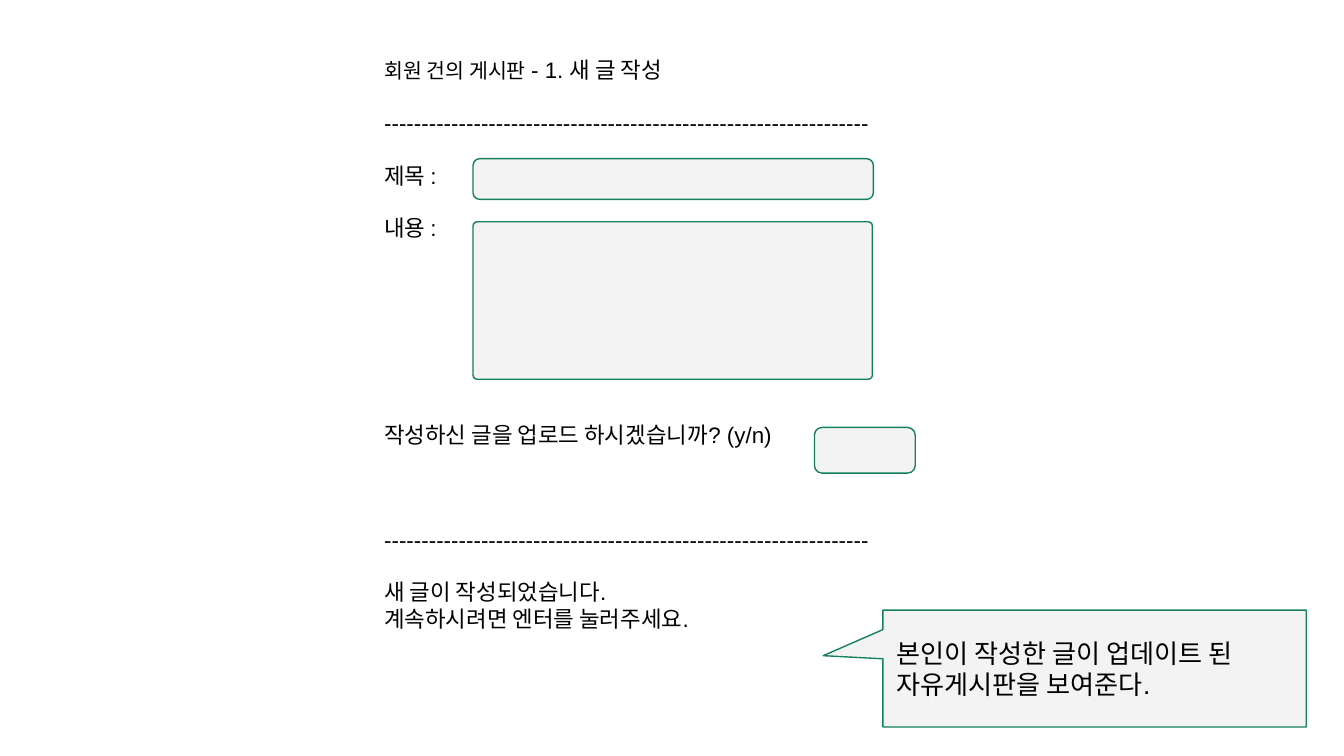
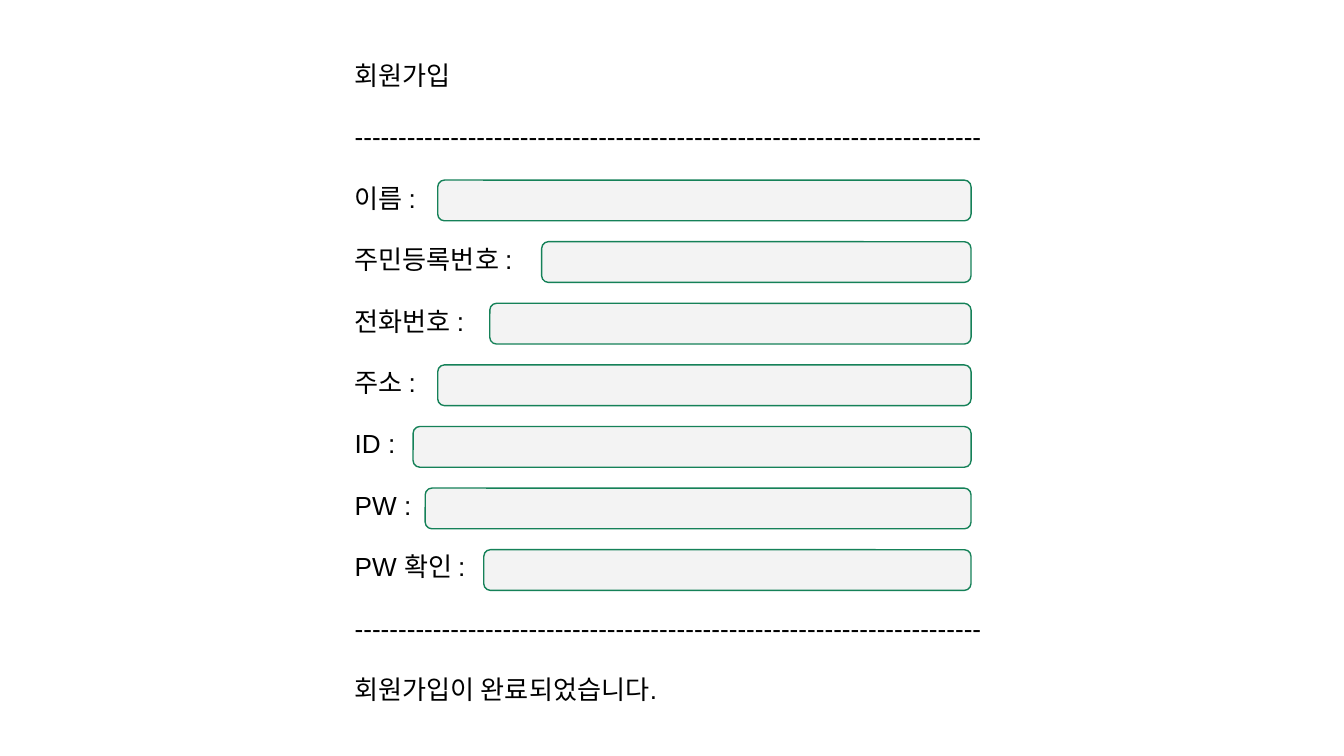
from pptx import Presentation
from pptx.dml.color import RGBColor
from pptx.enum.shapes import MSO_SHAPE as SHAPE
from pptx.enum.text import MSO_ANCHOR as ANCHOR, PP_ALIGN as ALIGN
from pptx.util import Pt

FONT, INK, FIELD, EDGE = "Arial", "000000", "F3F3F3", "158158"
INSET = 7.2
LINE = 1.15
RADIUS = 5


def color(value):
    return RGBColor.from_string(value)


def add_text(tf, lines, size, anchor=ANCHOR.TOP):
    """Each line is (blank lines above it, text or list of (text, size))."""
    frame = {"word_wrap": True, "vertical_anchor": anchor}
    frame.update({f"margin_{side}": Pt(INSET) for side in ("left", "top", "right", "bottom")})
    for name, value in frame.items():
        setattr(tf, name, value)
    for i, (gap, runs) in enumerate(lines):
        p = tf.add_paragraph() if i else tf.paragraphs[0]
        p.alignment = ALIGN.LEFT
        p.space_before = Pt(round(gap * size * LINE, 2))
        for text, run_size in [(runs, size)] if isinstance(runs, str) else runs:
            r = p.add_run()
            r.text = text
            for name, value in {"name": FONT, "size": Pt(run_size)}.items():
                setattr(r.font, name, value)
            r.font.color.rgb = color(INK)


def add_box(s, kind, box, adjustments):
    sp = s.shapes.add_shape(kind, *map(Pt, box))
    sp.shadow.inherit = False
    sp.fill.solid()
    sp.fill.fore_color.rgb = color(FIELD)
    sp.line.color.rgb = color(EDGE)
    sp.line.width = Pt(0.75)
    for i, value in enumerate(adjustments):
        sp.adjustments[i] = value
    return sp


def add_field(s, left, top, width, height, radius=RADIUS - 1.4):
    add_box(s, SHAPE.ROUNDED_RECTANGLE, (left, top, width, height),
            [round(radius / min(width, height), 3)])


def add_callout(s, box, text):
    sp = add_box(s, SHAPE.RECTANGULAR_CALLOUT, box, (-0.641, -0.11))
    add_text(sp.text_frame, [(0, text)], 14, ANCHOR.MIDDLE)


def add_form(s, box, lines, fields, size):
    left, top, width, height = box
    tb = s.shapes.add_textbox(*map(Pt, box))
    add_text(tb.text_frame, lines, size)
    for dx, dy, w, h, *radius in fields:
        add_field(s, left + dx, top + dy, w, h, *radius)


def post_slide(s, box):
    rule = "-" * 65
    lines = [
        (0, [("회원 건의 게시판", 11), (" - 1. 새 글 작성", 12)]),
        (1, rule),
        (1, "제목 :"),
        (1, "내용 :"),
        (7, "작성하신 글을 업로드 하시겠습니까? (y/n)"),
        (3, rule),
        (1, "새 글이 작성되었습니다."),
        (0, "계속하시려면 엔터를 눌러주세요."),
    ]
    fields = [
        (54.7, 62, 214.5, 21.8),
        (54.7, 95.8, 214, 84.4, 2.3),
        (237.6, 206, 54, 24.5, 4.1),
    ]
    add_form(s, box, lines, fields, 12)
    left, top = box[:2]
    add_callout(s, (left + 274.3, top + 303.9, 226.8, 62.6),
                "본인이 작성한 글이 업데이트 된 자유게시판을 보여준다.")


def signup_slide(s, box):
    rule = "-" * 72
    entries = {"이름 :": 51.6, "주민등록번호 :": 107.3, "전화번호 :": 79.5, "주소 :": 51.6,
               "ID :": 38.4, "PW :": 44.9, "PW 확인 :": 76.3}
    lines = [(0, "회원가입"), (1, rule)]
    lines += [(1, label) for label in entries]
    lines += [(1, rule), (1, "회원가입이 완료되었습니다.")]
    right, first, pitch = 337.3, 72, 33
    fields = [(dx, first + i * pitch, right - dx, 21.8)
              for i, dx in enumerate(entries.values())]
    add_form(s, box, lines, fields, 14)


prs = Presentation()
prs.slide_width, prs.slide_height = Pt(720), Pt(405)
pages = [(post_slide, (198.7, 23, 323.3, 56.9)), (signup_slide, (182.9, 24.5, 354.2, 56.9))]
for build, box in pages:
    build(prs.slides.add_slide(prs.slide_layouts[6]), box)
prs.save("out.pptx")
